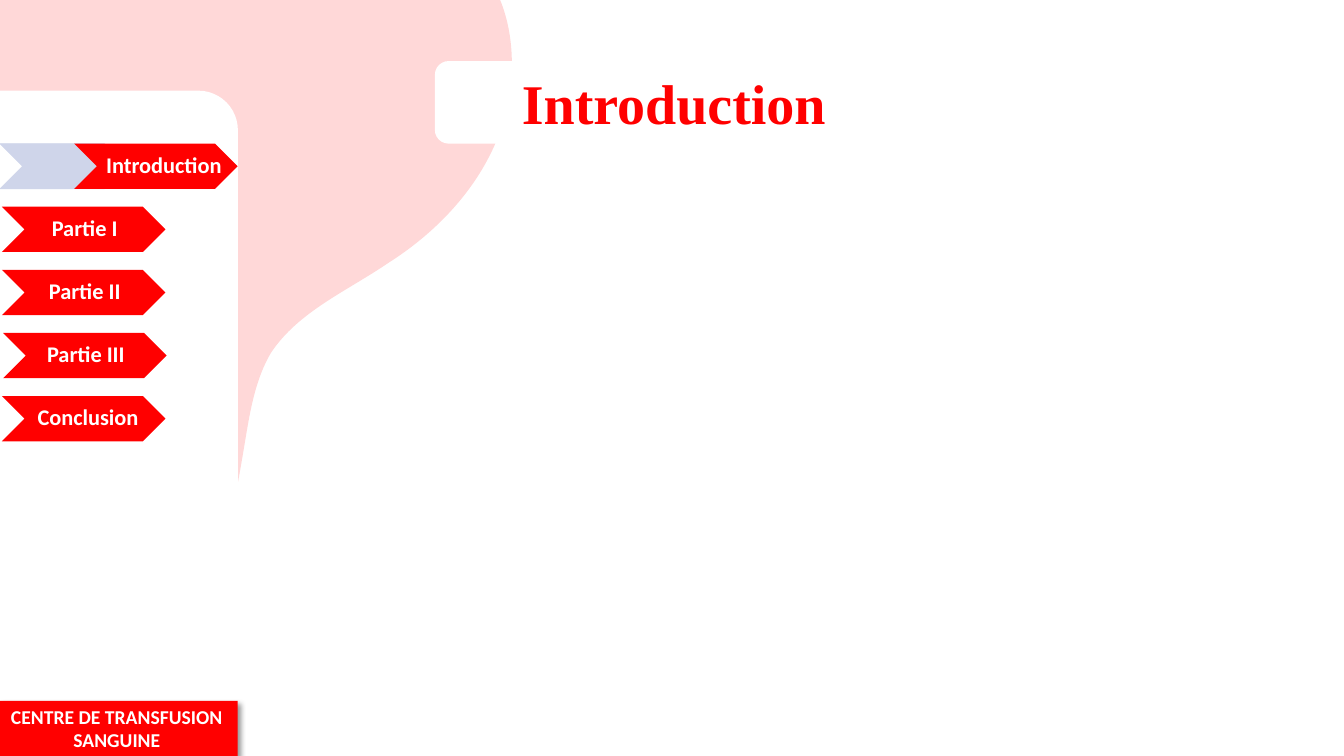
from lxml import etree
from pptx import Presentation
from pptx.dml.color import RGBColor
from pptx.enum.shapes import MSO_SHAPE
from pptx.enum.text import MSO_ANCHOR, PP_ALIGN
from pptx.oxml.ns import qn
from pptx.util import Cm, Pt

RECT = MSO_SHAPE.RECTANGLE
ROUND_RECT = MSO_SHAPE.ROUNDED_RECTANGLE
ROUND_TOP = MSO_SHAPE.ROUND_2_SAME_RECTANGLE
CHEVRON = MSO_SHAPE.CHEVRON
CENTER = PP_ALIGN.CENTER
MIDDLE = MSO_ANCHOR.MIDDLE

COLORS = {"red": "FF0000", "pink": "FFD8D8", "white": "FFFFFF", "lavender": "CFD5EA"}

prs = Presentation()
prs.slide_width, prs.slide_height = Cm(33.87), Cm(19.05)
slide = prs.slides.add_slide(prs.slide_layouts[6])


def paint(block, color):
    block.shadow.inherit = False
    block.fill.solid()
    block.fill.fore_color.rgb = RGBColor.from_string(COLORS[color])
    block.line.fill.background()
    return block


def write(block, text, size, color="white", font="Calibri", spacing=1.0,
          wrap=True, margins=(0.25, 0.13, 0.25, 0.13)):
    frame = block.text_frame
    frame.word_wrap = wrap
    frame.vertical_anchor = MIDDLE
    (frame.margin_left, frame.margin_top,
     frame.margin_right, frame.margin_bottom) = [Cm(m) for m in margins]
    paragraph = frame.paragraphs[0]
    paragraph.alignment = CENTER
    paragraph.line_spacing = spacing
    run = paragraph.add_run()
    run.text = text
    run.font.name, run.font.size, run.font.bold = font, Pt(size), True
    run.font.color.rgb = RGBColor.from_string(COLORS[color])


# Pink wave in cm: a curve has two control points and an end, an edge only an end
WAVE_LEFT, WAVE_TOP = -0.23, -0.13
wave_start = (12.9, 1.6)
wave_segments = [
    [(12.9, 2.29), (12.75, 2.97), (12.5, 3.58)],
    [(11.96, 4.85), (10.95, 5.89), (9.78, 6.63)],
    [(8.74, 7.34), (7.52, 7.85), (6.83, 8.89)],
    [(6.38, 9.65), (6.27, 10.59), (6.12, 11.46)],
    [(5.94, 12.52), (5.74, 13.59), (5.33, 14.58)],
    [(4.93, 15.57), (4.29, 16.51), (3.4, 17.12)],
    [(2.36, 17.86), (1.04, 18.08), (WAVE_LEFT, 18.14)],
    [(WAVE_LEFT, 0.25)],
    [(WAVE_LEFT, 0.08), (-0.05, WAVE_TOP), (0.15, WAVE_TOP)],
    [(12.55, WAVE_TOP)],
    [(12.8, 0.43), (12.9, 1.02), wave_start],
]
builder = slide.shapes.build_freeform(Cm(wave_start[0]), Cm(wave_start[1]))
builder.add_line_segments([(Cm(s[-1][0]), Cm(s[-1][1])) for s in wave_segments], close=True)
wave = paint(builder.convert_to_shape(), "pink")

# Turn the wave's straight segments into curves where control points are given
for line_to, segment in zip(list(wave._element.iter(qn("a:lnTo"))), wave_segments):
    if len(segment) == 3:
        curve = etree.Element(qn("a:cubicBezTo"))
        for x, y in segment:
            etree.SubElement(curve, qn("a:pt"),
                             x=str(Cm(x) - Cm(WAVE_LEFT)), y=str(Cm(y) - Cm(WAVE_TOP)))
        line_to.getparent().replace(line_to, curve)

# White side panel, rounded on its right side
side_panel = paint(slide.shapes.add_shape(
    ROUND_TOP, Cm(-5.38), Cm(7.67), Cm(16.76), Cm(5.99)), "white")
side_panel.rotation = 90

# Footer banner with a soft shadow
banner = paint(slide.shapes.add_shape(RECT, Cm(0), Cm(17.66), Cm(5.99), Cm(1.39)), "red")
write(banner, "CENTRE DE TRANSFUSION SANGUINE", 14, margins=(0.2, 0.13, 0.3, 0.13))
effects = banner._element.spPr.find(qn("a:effectLst"))
shadow = etree.SubElement(effects, qn("a:outerShdw"), blurRad=str(Pt(4)),
                          dist=str(Pt(3)), dir="2700000", algn="tl", rotWithShape="0")
shadow_color = etree.SubElement(shadow, qn("a:srgbClr"), val="000000")
etree.SubElement(shadow_color, qn("a:alpha"), val="40000")

# Marker behind the current section
STEP_TOP, STEP_PITCH, STEP_HEIGHT = 3.62, 1.59, 1.14
marker = paint(slide.shapes.add_shape(
    CHEVRON, Cm(0), Cm(STEP_TOP), Cm(3.2), Cm(STEP_HEIGHT)), "lavender")
marker.line.color.rgb = RGBColor.from_string(COLORS["lavender"])
marker.line.width = Pt(0.5)

# Section chevrons: label, left edge, left text margin
sections = [
    ("Introduction", 1.87, 0.4),
    ("Partie I", 0.05, 0.05),
    ("Partie II", 0.05, 0.05),
    ("Partie III", 0.08, 0.05),
    ("Conclusion", 0.05, 0.22),
]
for row, (label, left, indent) in enumerate(sections):
    section = paint(slide.shapes.add_shape(
        CHEVRON, Cm(left), Cm(STEP_TOP + row * STEP_PITCH), Cm(4.12), Cm(STEP_HEIGHT)), "red")
    write(section, label, 16, spacing=0.9, wrap=False, margins=(indent, 0.03, 0, 0.03))

# Title
title = paint(slide.shapes.add_shape(
    ROUND_RECT, Cm(10.96), Cm(1.54), Cm(12.04), Cm(2.08)), "white")
write(title, "Introduction", 40, color="red", font="Times New Roman")

prs.save("out.pptx")
